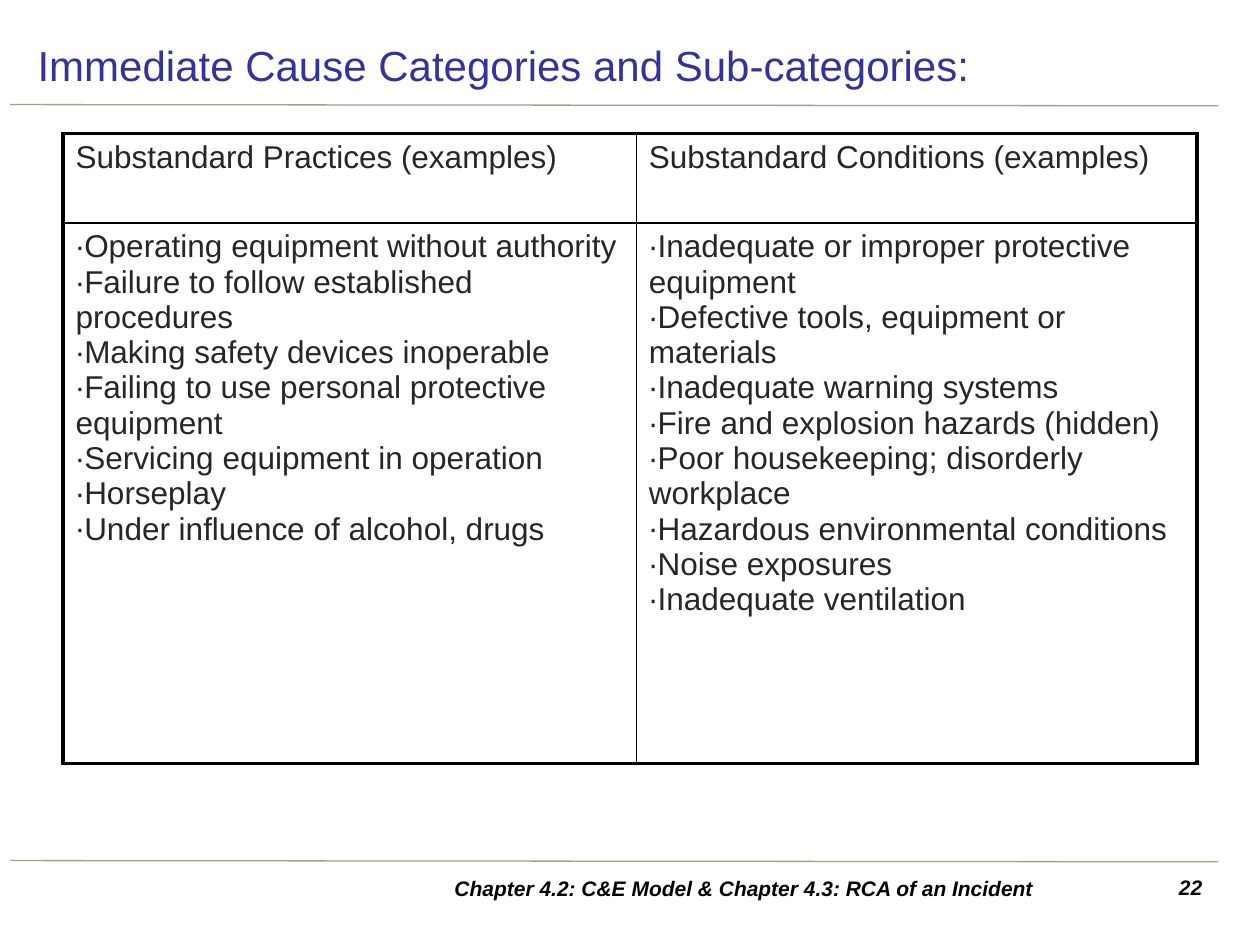
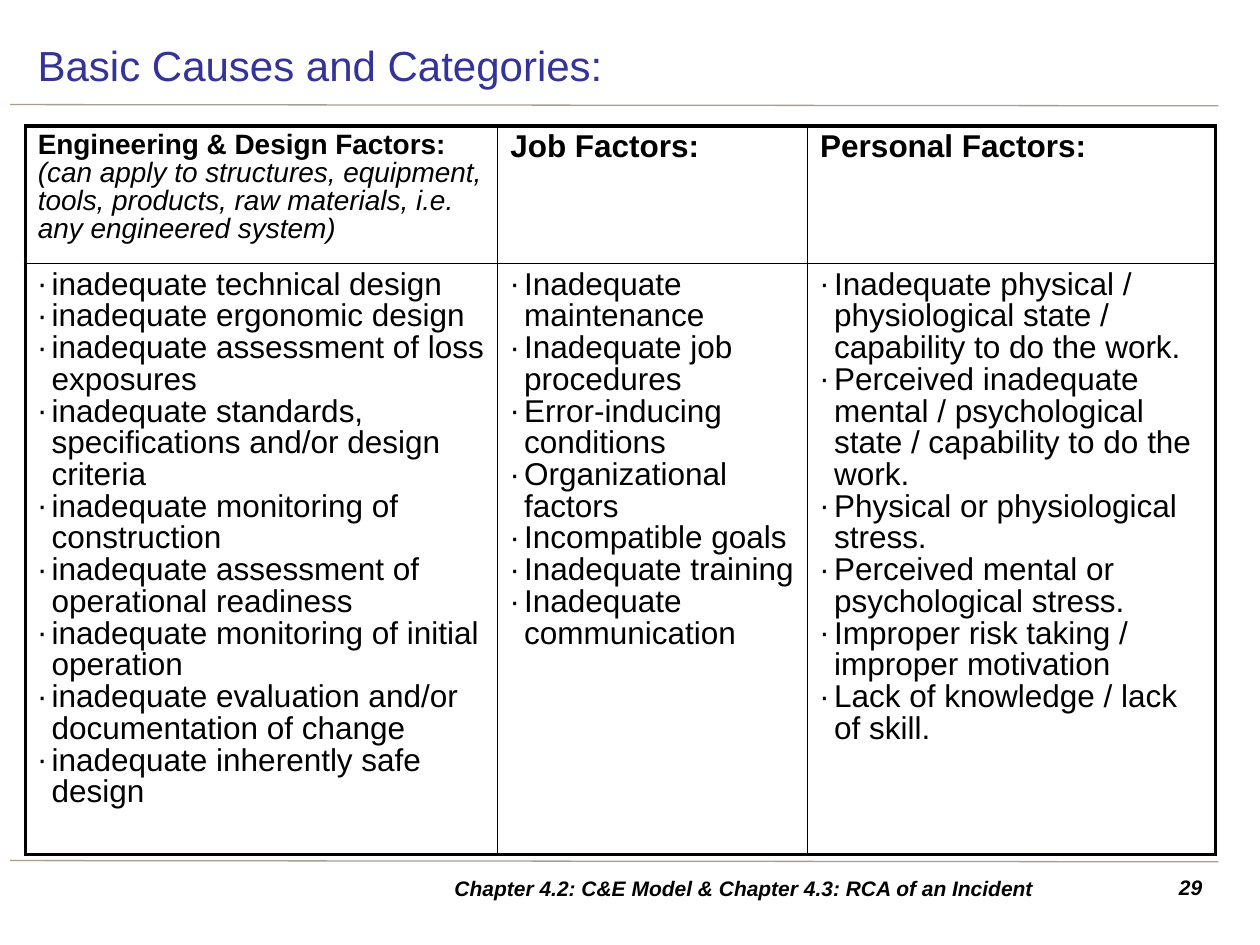
from copy import deepcopy
from dataclasses import dataclass

from lxml import etree
from pptx import Presentation
from pptx.dml.color import RGBColor
from pptx.enum.shapes import MSO_CONNECTOR
from pptx.enum.text import MSO_ANCHOR, PP_ALIGN
from pptx.oxml.ns import qn
from pptx.util import Inches, Pt

STRAIGHT = MSO_CONNECTOR.STRAIGHT
TOP, MIDDLE = MSO_ANCHOR.TOP, MSO_ANCHOR.MIDDLE
LEFT, CENTER, RIGHT = PP_ALIGN.LEFT, PP_ALIGN.CENTER, PP_ALIGN.RIGHT
GRID_COLUMNS, GRID_ROWS = 100, 75
BLANK_LAYOUT = 6


@dataclass(frozen=True)
class Theme:
    """Colours, font and type sizes shared by the slides."""

    font: str = "Arial"
    title: str = "333399"
    rule: str = "AA9C8F"
    ink: str = "000000"
    soft_ink: str = "262626"
    paper: str = "FFFFFF"
    title_size: int = 24
    body_size: int = 18
    note_size: int = 16
    footer_size: int = 12
    rule_width: float = 0.75
    inner_border: int = 1
    outer_border: int = 2


THEME = Theme()
FOOTER = "Chapter 4.2: C&E Model & Chapter 4.3: RCA of an Incident"

PRACTICES = [
    "Operating equipment without authority",
    "Failure to follow established procedures",
    "Making safety devices inoperable",
    "Failing to use personal protective equipment",
    "Servicing equipment in operation",
    "Horseplay",
    "Under influence of alcohol, drugs",
]
CONDITIONS = [
    "Inadequate or improper protective equipment",
    "Defective tools, equipment or materials",
    "Inadequate warning systems",
    "Fire and explosion hazards (hidden)",
    "Poor housekeeping; disorderly workplace",
    "Hazardous environmental conditions",
    "Noise exposures",
    "Inadequate ventilation",
]
ENGINEERING_FACTORS = [
    "inadequate technical design",
    "inadequate ergonomic design",
    "inadequate assessment of loss exposures",
    "inadequate standards, specifications and/or design criteria",
    "inadequate monitoring of construction",
    "inadequate assessment of operational readiness",
    "inadequate monitoring of initial operation",
    "inadequate evaluation and/or documentation of change",
    "inadequate inherently safe design",
]
JOB_FACTORS = [
    "Inadequate maintenance",
    "Inadequate job procedures",
    "Error-inducing conditions",
    "Organizational factors",
    "Incompatible goals",
    "Inadequate training",
    "Inadequate communication",
]
PERSONAL_FACTORS = [
    "Inadequate physical / physiological state / capability to do the work.",
    "Perceived inadequate mental / psychological state / capability to do the work.",
    "Physical or physiological stress.",
    "Perceived mental or psychological stress.",
    "Improper risk taking / improper motivation",
    "Lack of knowledge / lack of skill.",
]
ENGINEERING_NOTE = (
    "(can apply to structures, equipment, tools, products, raw materials, "
    "i.e. any engineered system)"
)


def grid(*units):
    """Turn grid units, a hundred to the slide's width, into lengths."""
    return [Inches(unit / 10) for unit in units]


def add_bullet(paragraph, color, margin):
    """Give a paragraph a dot bullet with a hanging indent."""
    properties = paragraph._p.get_or_add_pPr()
    properties.set("marL", str(Inches(margin)))
    properties.set("indent", str(Inches(-0.12)))
    bullet_color = etree.SubElement(properties, qn("a:buClr"))
    etree.SubElement(bullet_color, qn("a:srgbClr"), val=color)
    etree.SubElement(properties, qn("a:buFont"), typeface=THEME.font)
    etree.SubElement(properties, qn("a:buChar"), char="∙")


def add_span(paragraph, text, size=THEME.body_size, color=THEME.ink,
             bold=False, italic=False):
    """Append formatted text to a paragraph."""
    span = paragraph.add_run()
    span.text = text
    font = span.font
    font.name, font.size = THEME.font, Pt(size)
    font.bold, font.italic = bold, italic
    font.color.rgb = RGBColor.from_string(color)
    return span


def write(frame, lines, align=LEFT, spacing=None, bullet_margin=None, **style):
    """Fill a text frame with one formatted paragraph per line."""
    for index, line in enumerate(lines):
        para = frame.add_paragraph() if index else frame.paragraphs[0]
        para.alignment = align
        if spacing:
            para.line_spacing = spacing
        if bullet_margin is not None:
            add_bullet(para, style.get("color", THEME.ink), bullet_margin)
        span = add_span(para, line, **style)
    return para, span


def add_text(page, text, place, anchor=MIDDLE, **style):
    """Place a wrapping text box on the grid."""
    frame = page.shapes.add_textbox(*grid(*place)).text_frame
    frame.word_wrap = True
    frame.vertical_anchor = anchor
    write(frame, [text], **style)


def add_rule(page, row):
    """Draw a thin rule across the slide."""
    rule = page.shapes.add_connector(STRAIGHT, *grid(0.8, row, 96.7, row + 0.1))
    rule.line.color.rgb = RGBColor.from_string(THEME.rule)
    rule.line.width = Pt(THEME.rule_width)
    etree.SubElement(rule._element.spPr, qn("a:effectLst"))


def add_page(deck, title, number):
    """Add a slide with its title, rules and footer."""
    page = deck.slides.add_slide(deck.slide_layouts[BLANK_LAYOUT])
    for row in (8.3, 68.3):
        add_rule(page, row)
    add_text(page, title, (2, 2.4, 94.5, 5.5),
             size=THEME.title_size, color=THEME.title)
    footer_style = dict(size=THEME.footer_size, bold=True, italic=True)
    add_text(page, str(number), (90.6, 68.9, 5.8, 3.1), anchor=TOP,
             align=RIGHT, **footer_style)
    add_text(page, FOOTER, (29.5, 68.9, 59.1, 3.1), align=CENTER, **footer_style)
    return page


def set_borders(cell, outer_sides):
    """Draw a cell's borders, heavier on the table's outer sides."""
    properties = cell._tc.get_or_add_tcPr()
    for index, side in enumerate("LRTB"):
        width = THEME.outer_border if side in outer_sides else THEME.inner_border
        border = etree.Element(qn(f"a:ln{side}"), w=str(Pt(width)))
        fill = etree.SubElement(border, qn("a:solidFill"))
        etree.SubElement(fill, qn("a:srgbClr"), val=THEME.ink)
        properties.insert(index, border)


def add_grid_table(page, left, top, widths, heights):
    """Add a white table with a heavy frame and thin inner lines."""
    table = page.shapes.add_table(
        len(heights), len(widths),
        *grid(left, top, sum(widths), sum(heights))).table
    table.first_row = table.horz_banding = False
    for column, width in zip(table.columns, grid(*widths)):
        column.width = width
    for row, height in zip(table.rows, grid(*heights)):
        row.height = height
    last_row, last_column = len(heights) - 1, len(widths) - 1
    for row in range(len(heights)):
        for column in range(len(widths)):
            cell = table.cell(row, column)
            cell.fill.solid()
            cell.fill.fore_color.rgb = RGBColor.from_string(THEME.paper)
            edges = {"L": column == 0, "R": column == last_column,
                     "T": row == 0, "B": row == last_row}
            set_borders(cell, [side for side, outer in edges.items() if outer])
    return table


def fill_columns(table, columns, bullet_margin, heading_style, **style):
    """Write a heading and a bulleted list in each table column."""
    for index, (heading, items) in enumerate(columns):
        if heading:
            write(table.cell(0, index).text_frame, [heading],
                  **{**style, **heading_style})
        write(table.cell(1, index).text_frame, items,
              bullet_margin=bullet_margin, **style)


def add_noted_heading(cell, heading, note, **style):
    """Write a bold heading with an italic note on the next line."""
    para, span = write(cell.text_frame, [heading], bold=True, **style)
    para.add_line_break()
    para._p[-1].append(deepcopy(span._r.get_or_add_rPr()))
    add_span(para, note, size=style["size"], italic=True)


def add_immediate_causes(deck):
    """Build the slide on immediate causes."""
    page = add_page(deck, "Immediate Cause Categories and Sub-categories:", 22)
    table = add_grid_table(page, 5, 10.6, (45.5, 44.5), (7.1, 42.9))
    columns = [("Substandard Practices (examples)", PRACTICES),
               ("Substandard Conditions (examples)", CONDITIONS)]
    fill_columns(table, columns, 0, {}, color=THEME.soft_ink)


def add_basic_causes(deck):
    """Build the slide on basic causes."""
    page = add_page(deck, "Basic Causes and Categories:", 29)
    table = add_grid_table(page, 2, 10, (37.5, 24.6, 32.4), (10.9, 43.4))
    columns = [(None, ENGINEERING_FACTORS), ("Job Factors:", JOB_FACTORS),
               ("Personal Factors:", PERSONAL_FACTORS)]
    fill_columns(table, columns, 0.11, {"bold": True}, spacing=0.9)
    add_noted_heading(table.cell(0, 0), "Engineering & Design Factors:",
                      ENGINEERING_NOTE, size=THEME.note_size, spacing=0.9)


def main():
    """Build and save the deck."""
    deck = Presentation()
    deck.slide_width, deck.slide_height = grid(GRID_COLUMNS, GRID_ROWS)
    add_immediate_causes(deck)
    add_basic_causes(deck)
    deck.save("out.pptx")


if __name__ == "__main__":
    main()
